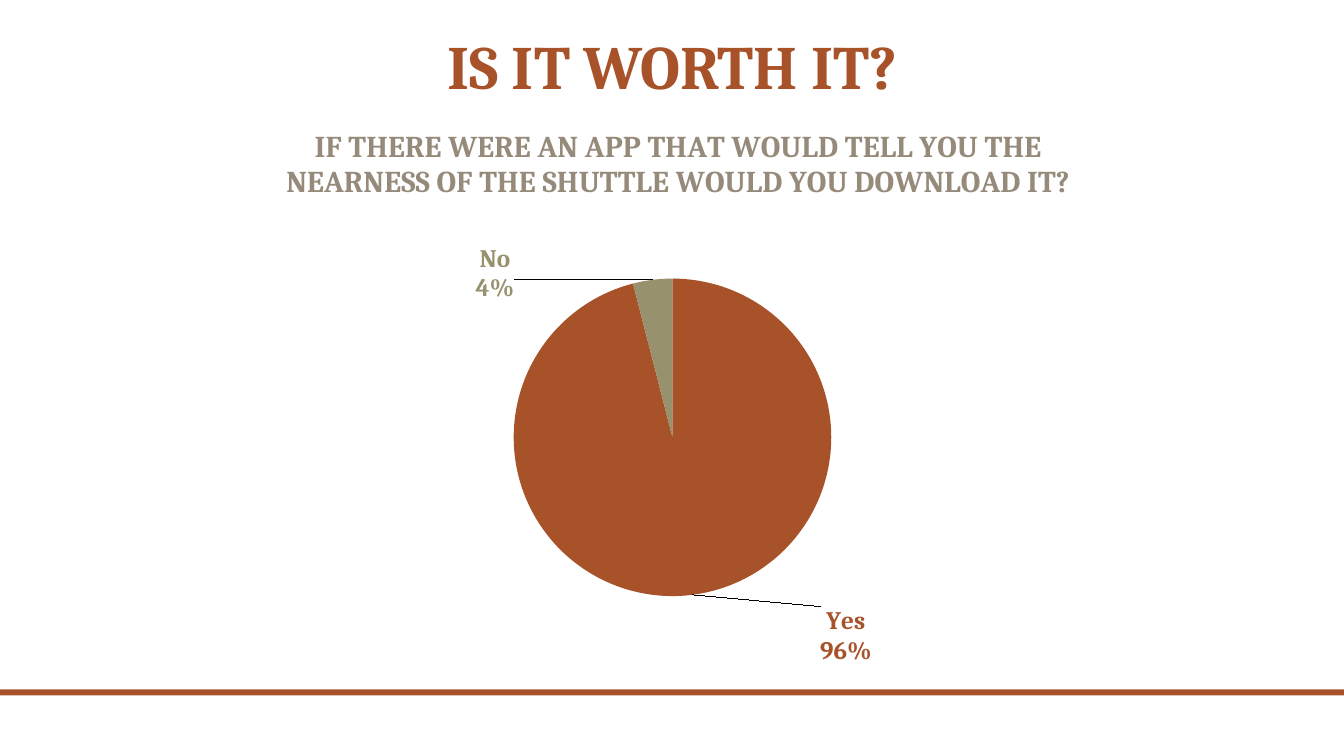
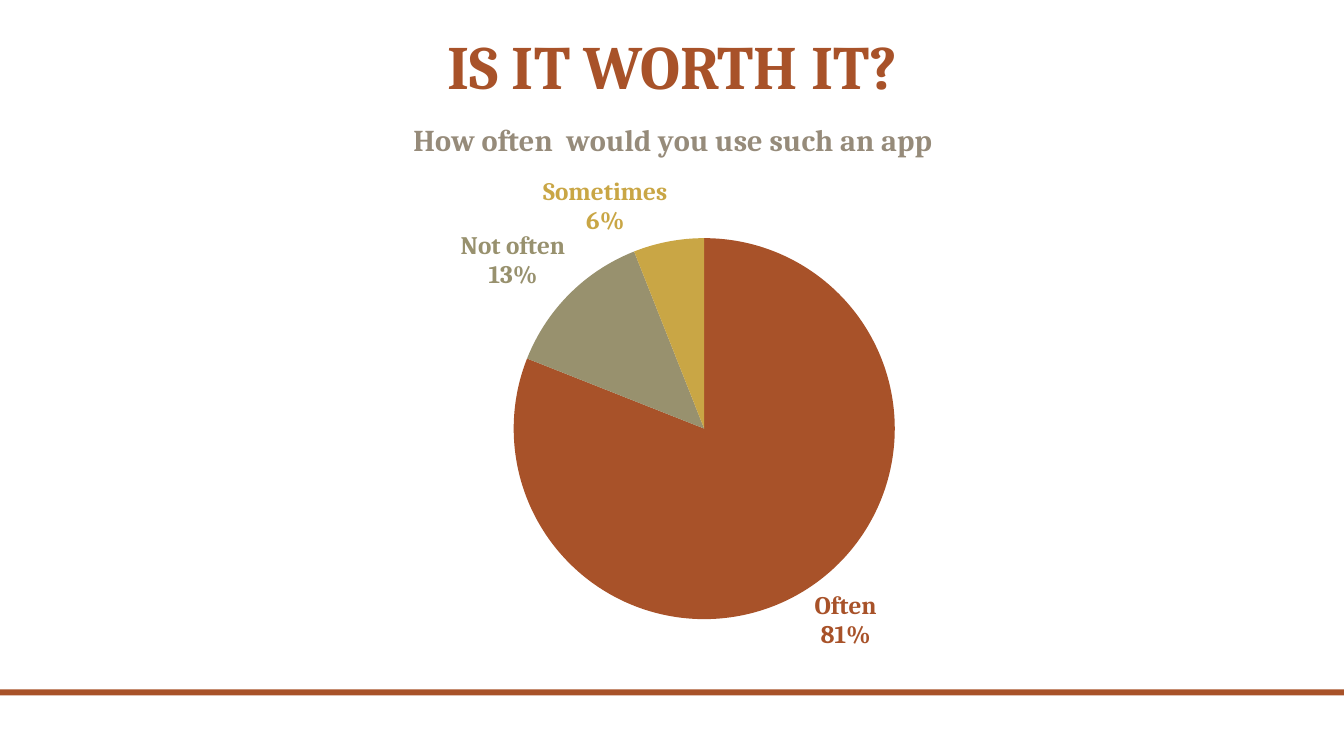
"""Build two survey slides, each with a title and a labelled pie chart."""
from lxml.etree import SubElement
from pptx import Presentation
from pptx.chart.data import CategoryChartData
from pptx.dml.color import RGBColor
from pptx.enum.chart import XL_CHART_TYPE, XL_LABEL_POSITION
from pptx.enum.shapes import MSO_SHAPE
from pptx.enum.text import MSO_ANCHOR, PP_ALIGN
from pptx.oxml.ns import qn
from pptx.util import Inches, Pt

FONT = "Cambria"
RUST = RGBColor(0xA8, 0x52, 0x29)
OLIVE = RGBColor(0x98, 0x91, 0x6E)
GOLD = RGBColor(0xC9, 0xA6, 0x45)
TAUPE = RGBColor(0x96, 0x8B, 0x7A)
BROWN = RGBColor(0x51, 0x4A, 0x40)
SLICE_COLORS = (RUST, OLIVE, GOLD)

LEFT, WIDTH = Inches(1.42), Inches(10.5)
TITLE = "IS IT WORTH IT?"
APP_QUESTION = ("IF THERE WERE AN APP THAT WOULD TELL YOU THE NEARNESS "
                "OF THE SHUTTLE WOULD YOU DOWNLOAD IT?")

SURVEYS = [
    {"question": APP_QUESTION, "series": APP_QUESTION,
     "answers": {"Yes": 96, "No": 4},
     "question_at": (0.13, 0.04), "pie_at": (0.35, 0.31, 0.3, 0.55),
     "label_shifts": {"Yes": (0.12, 0.01), "No": (-0.13, 0.05)}},
    {"question": "How often  would you use such an app", "series": "Series 1",
     "answers": {"Often": 81, "Not often": 13, "Sometimes": 6},
     "question_at": (0.25, 0.03), "pie_at": (0.35, 0.24, 0.36, 0.66),
     "label_shifts": {}},
]


def set_font(font, size, color, bold=True):
    font.name, font.size, font.bold = FONT, Pt(size), bold
    font.color.rgb = color


def set_layout(parent, after, box, edge=False, inner=False):
    """Place a chart part by fractions of the chart area."""
    for old in parent.findall(qn("c:layout")):
        parent.remove(old)
    layout = SubElement(parent, qn("c:layout"))
    if after is None:
        parent.insert(0, layout)
    else:
        parent.find(qn(after)).addnext(layout)
    manual = SubElement(layout, qn("c:manualLayout"))
    settings = [("layoutTarget", "inner")] if inner else []
    if edge:
        settings += [("xMode", "edge"), ("yMode", "edge")]
    settings += zip("xywh", box)
    for tag, value in settings:
        SubElement(manual, qn("c:" + tag)).set("val", str(value))


def add_title(slide):
    title = slide.shapes.title
    title.left, title.top, title.width, title.height = LEFT, Inches(0.17), WIDTH, Inches(0.9)
    tf = title.text_frame
    tf.text, tf.vertical_anchor = TITLE, MSO_ANCHOR.BOTTOM
    p = tf.paragraphs[0]
    p.alignment, p.line_spacing = PP_ALIGN.CENTER, 0.9
    set_font(p.font, 44, RUST)


def add_pie(slide, survey):
    answers = survey["answers"]
    data = CategoryChartData()
    data.categories = list(answers)
    data.add_series(survey["series"], list(answers.values()))
    chart = slide.shapes.add_chart(XL_CHART_TYPE.PIE, LEFT, Inches(0.97),
                                   WIDTH, Inches(5.76), data).chart
    chart.has_legend = False
    set_font(chart.font, 18, BROWN, bold=False)

    chart.has_title = True
    title = chart.chart_title
    title.text_frame.text = survey["question"]
    set_font(title.text_frame.paragraphs[0].runs[0].font, 21.6, TAUPE)
    set_layout(title._element, "c:tx", survey["question_at"], edge=True)
    plot_area = chart._chartSpace.find(".//" + qn("c:plotArea"))
    set_layout(plot_area, None, survey["pie_at"], edge=True, inner=True)

    plot = chart.plots[0]
    plot.vary_by_categories = True
    series = plot.series[0]
    labels = series.data_labels
    labels.show_value = False
    labels.show_category_name = labels.show_percentage = True
    labels.position = XL_LABEL_POSITION.OUTSIDE_END
    for i, color in enumerate(SLICE_COLORS[:len(answers)]):
        point = series.points[i]
        point.format.fill.solid()
        point.format.fill.fore_color.rgb = color
        set_font(point.data_label.font, 18, color)
        point.data_label.position = XL_LABEL_POSITION.OUTSIDE_END
    for answer, label in zip(answers, labels._element.findall(qn("c:dLbl"))):
        for tag, flag in (("showVal", "0"), ("showCatName", "1"), ("showPercent", "1")):
            label.find(qn("c:" + tag)).set("val", flag)
        SubElement(label, qn("c:separator")).text = "\n"
        if answer in survey["label_shifts"]:
            set_layout(label, "c:idx", survey["label_shifts"][answer])


def add_master_band(prs, slide):
    """Draw the bottom band and hand it to the slide master."""
    band = slide.shapes.add_shape(MSO_SHAPE.RECTANGLE, 0, Inches(6.84),
                                  prs.slide_width, Inches(0.06))
    band.shadow.inherit = False
    band.fill.solid()
    band.fill.fore_color.rgb = RUST
    band.line.fill.background()
    prs.slide_master.shapes._spTree.append(band._element)


def main():
    prs = Presentation()
    prs.slide_width, prs.slide_height = Inches(13.33), Inches(7.5)
    for survey in SURVEYS:
        slide = prs.slides.add_slide(prs.slide_layouts[5])
        add_title(slide)
        add_pie(slide, survey)
    add_master_band(prs, prs.slides[0])
    prs.save("out.pptx")


if __name__ == "__main__":
    main()
